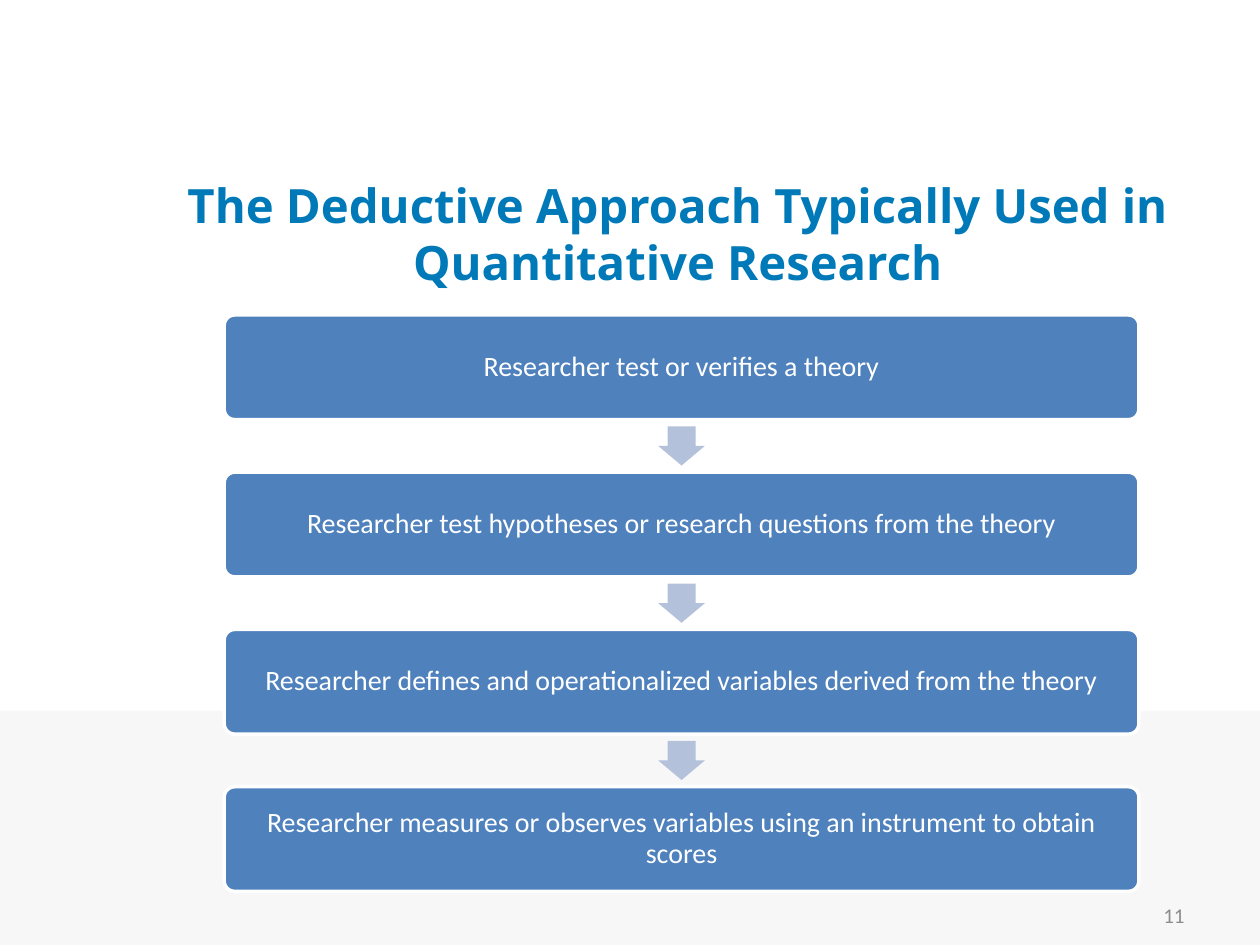
"""Build the slide on the deductive approach in quantitative research."""
from dataclasses import dataclass

import pptx
import pptx.dml.color
import pptx.enum.shapes
import pptx.enum.text
import pptx.util

Cm = pptx.util.Cm
Pt = pptx.util.Pt
RGBColor = pptx.dml.color.RGBColor
Shape = pptx.enum.shapes.MSO_SHAPE
Align = pptx.enum.text.PP_ALIGN
Anchor = pptx.enum.text.MSO_ANCHOR

WHITE = RGBColor(0xFF, 0xFF, 0xFF)
BAND_GREY = RGBColor(0xF7, 0xF7, 0xF7)
TITLE_BLUE = RGBColor(0x00, 0x79, 0xB8)
STEP_BLUE = RGBColor(0x4F, 0x81, 0xBD)
ARROW_BLUE = RGBColor(0xB3, 0xC1, 0xDB)
NUMBER_GREY = RGBColor(0x8C, 0x8C, 0x8C)

PAGE_WIDTH, PAGE_HEIGHT = Cm(25.4), Cm(19.05)
BAND_TOP = Cm(14.33)
STEP_LEFT, STEP_TOP = Cm(4.52), Cm(6.35)
STEP_WIDTH, STEP_HEIGHT = Cm(18.44), Cm(2.11)
STEP_PITCH = Cm(3.17)
ARROW_WIDTH, ARROW_HEIGHT = Cm(0.94), Cm(0.79)
STEP_INSET = Cm(0.25)

STEPS = (
    "Researcher test or verifies a theory",
    "Researcher test hypotheses or research questions from the theory",
    "Researcher defines and operationalized variables derived from the theory",
    "Researcher measures or observes variables using an instrument to obtain scores",
)


@dataclass(frozen=True)
class Area:
    left: int
    top: int
    width: int
    height: int


@dataclass(frozen=True)
class TextStyle:
    font: str
    size: int
    color: RGBColor
    align: Align
    bold: bool = False


TITLE_STYLE = TextStyle("Open Sans", 27, TITLE_BLUE, Align.CENTER, True)
STEP_STYLE = TextStyle("Calibri", 16, WHITE, Align.CENTER)
NUMBER_STYLE = TextStyle("Calibri", 12, NUMBER_GREY, Align.RIGHT)


def write_text(box, text: str, style: TextStyle) -> None:
    frame = box.text_frame
    frame.text = text
    frame.word_wrap = True
    frame.vertical_anchor = Anchor.MIDDLE
    para = frame.paragraphs[0]
    para.alignment = style.align
    for span in para.runs:
        span.font.name = style.font
        span.font.size = Pt(style.size)
        span.font.bold = style.bold
        span.font.color.rgb = style.color


def add_label(page, area: Area, text: str, style: TextStyle) -> None:
    box = page.shapes.add_textbox(area.left, area.top, area.width, area.height)
    write_text(box, text, style)


def add_filled(page, kind: Shape, area: Area, color: RGBColor):
    shape = page.shapes.add_shape(kind, area.left, area.top, area.width, area.height)
    shape.shadow.inherit = False
    shape.fill.solid()
    shape.fill.fore_color.rgb = color
    shape.line.fill.background()
    return shape


def add_step(page, top: int, text: str) -> None:
    area = Area(STEP_LEFT, top, STEP_WIDTH, STEP_HEIGHT)
    box = add_filled(page, Shape.ROUNDED_RECTANGLE, area, STEP_BLUE)
    box.adjustments[0] = 0.1
    box.line.color.rgb = WHITE
    box.line.width = Pt(2)
    write_text(box, text, STEP_STYLE)
    frame = box.text_frame
    frame.margin_left = frame.margin_right = STEP_INSET
    frame.margin_top = frame.margin_bottom = STEP_INSET
    frame.paragraphs[0].line_spacing = 0.9


def add_arrow(page, step_top: int) -> None:
    gap = STEP_PITCH - STEP_HEIGHT
    left = STEP_LEFT + (STEP_WIDTH - ARROW_WIDTH) // 2
    top = step_top + STEP_HEIGHT + (gap - ARROW_HEIGHT) // 2
    area = Area(left, top, ARROW_WIDTH, ARROW_HEIGHT)
    arrow = add_filled(page, Shape.DOWN_ARROW, area, ARROW_BLUE)
    arrow.adjustments[0] = 0.6
    arrow.adjustments[1] = 0.5


def main() -> None:
    deck = pptx.Presentation()
    deck.slide_width, deck.slide_height = PAGE_WIDTH, PAGE_HEIGHT
    page = deck.slides.add_slide(deck.slide_layouts[6])

    band = Area(0, BAND_TOP, PAGE_WIDTH, PAGE_HEIGHT - BAND_TOP)
    add_filled(page, Shape.RECTANGLE, band, BAND_GREY)
    add_label(
        page,
        Area(Cm(3.18), Cm(3.81), Cm(20.96), Cm(1.78)),
        "The Deductive Approach Typically Used in Quantitative Research",
        TITLE_STYLE,
    )
    add_label(page, Area(Cm(18.21), Cm(17.93), Cm(5.92), Cm(1.02)), "11", NUMBER_STYLE)

    for index, text in enumerate(STEPS):
        top = STEP_TOP + index * STEP_PITCH
        add_step(page, top, text)
        if index < len(STEPS) - 1:
            add_arrow(page, top)

    deck.save("out.pptx")


if __name__ == "__main__":
    main()
